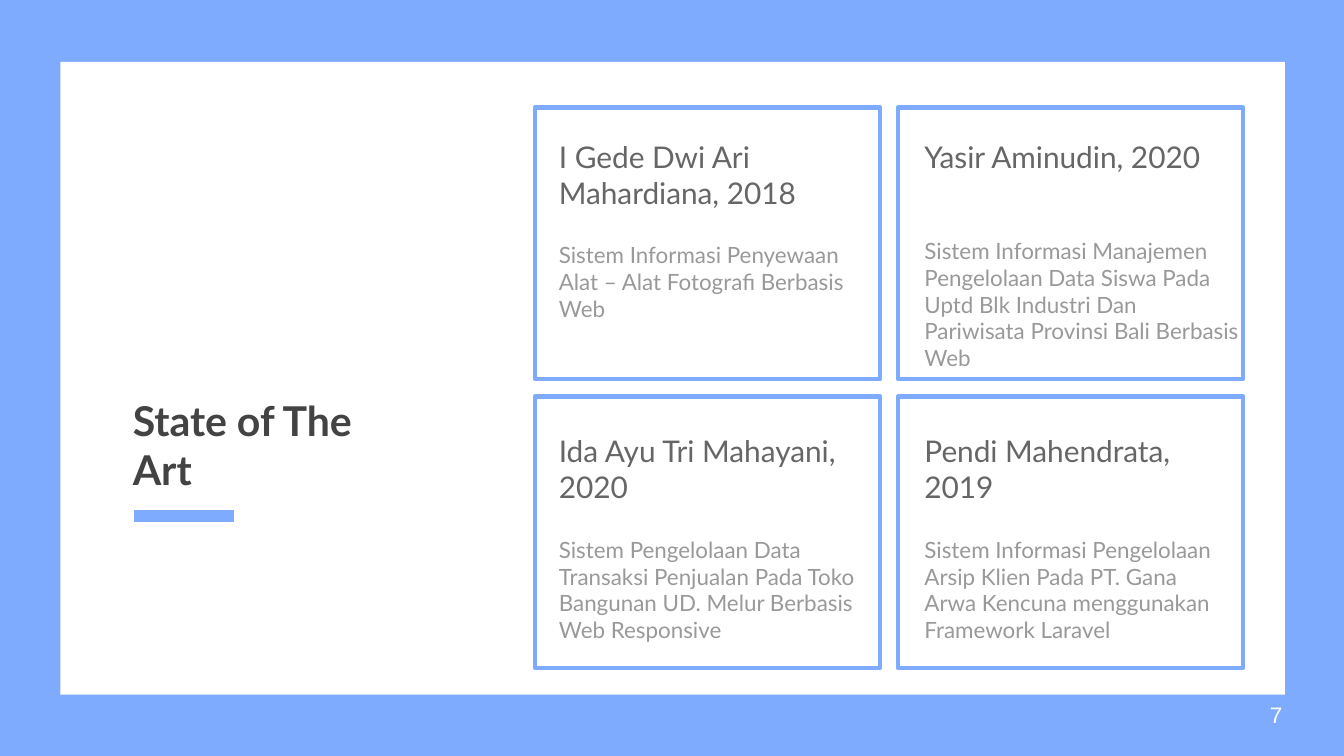
from lxml import etree
from pptx import Presentation
from pptx.dml.color import RGBColor
from pptx.enum import shapes, text
from pptx.oxml import ns
from pptx.util import Inches, Pt

BLUE = RGBColor(0x7F, 0xAB, 0xFF)
WHITE = RGBColor(0xFF, 0xFF, 0xFF)
CHARCOAL = RGBColor(0x43, 0x43, 0x43)
GREY = RGBColor(0x66, 0x66, 0x66)
LIGHT_GREY = RGBColor(0x99, 0x99, 0x99)


def write(paragraph, words, size, color, font="Lato", bold=False, before=0):
    paragraph.space_before = Pt(before)
    run = paragraph.add_run()
    run.text = words
    run.font.name = font
    run.font.size = Pt(size)
    run.font.bold = bold
    run.font.color.rgb = color


def add_frame(left, top, width, height, anchor=text.MSO_ANCHOR.TOP):
    box = slide.shapes.add_textbox(Inches(left), Inches(top), Inches(width), Inches(height))
    frame = box.text_frame
    frame.word_wrap = True
    frame.vertical_anchor = anchor
    frame.margin_left = frame.margin_right = Inches(0.1)
    frame.margin_top = frame.margin_bottom = Inches(0.1)
    return frame


deck = Presentation()
deck.slide_width = Inches(10)
deck.slide_height = Inches(10 * 9 / 16)
slide = deck.slides.add_slide(deck.slide_layouts[6])
slide.background.fill.solid()
slide.background.fill.fore_color.rgb = BLUE

panel = slide.shapes.add_shape(
    shapes.MSO_SHAPE.RECTANGLE, Inches(0.45), Inches(0.46), Inches(9.11), Inches(4.71))
panel.shadow.inherit = False
panel.fill.solid()
panel.fill.fore_color.rgb = WHITE
panel.line.fill.background()

underline = slide.shapes.add_connector(
    shapes.MSO_CONNECTOR.STRAIGHT, Inches(1), Inches(3.84), Inches(1.74), Inches(3.84))
underline.line.color.rgb = BLUE
underline.line.width = Pt(6)
etree.SubElement(underline.element.spPr, ns.qn("a:effectLst"))

title = add_frame(0.89, 2.66, 2.07, 1.3, text.MSO_ANCHOR.MIDDLE)
write(title.paragraphs[0], "State of The Art", 22, CHARCOAL, bold=True)

studies = [
    ("I Gede Dwi Ari Mahardiana, 2018",
     "Sistem Informasi Penyewaan Alat – Alat Fotografi Berbasis Web", 2.48, 16.8),
    ("Yasir Aminudin, 2020",
     "Sistem Informasi Manajemen Pengelolaan Data Siswa Pada Uptd Blk Industri Dan "
     "Pariwisata Provinsi Bali Berbasis Web", 2.55, 33.6),
    ("Ida Ayu Tri Mahayani, 2020",
     "Sistem Pengelolaan Data Transaksi Penjualan Pada Toko Bangunan UD. Melur Berbasis "
     "Web Responsive", 2.48, 16.8),
    ("Pendi Mahendrata, 2019",
     "Sistem Informasi Pengelolaan Arsip Klien Pada PT. Gana Arwa Kencuna menggunakan "
     "Framework Laravel", 2.48, 16.8),
]
for index, (author, topic, width, gap) in enumerate(studies):
    row, column = divmod(index, 2)
    card = slide.shapes.add_shape(
        shapes.MSO_SHAPE.RECTANGLE, Inches(3.98 + 2.7 * column), Inches(0.8 + 2.15 * row),
        Inches(2.57), Inches(2.02))
    card.shadow.inherit = False
    card.fill.background()
    card.line.color.rgb = BLUE
    card.line.width = Pt(2.25)
    study = add_frame(4.06 + 2.72 * column, 0.93 + 2.19 * row, width, 1.58)
    write(study.paragraphs[0], author, 16, GREY)
    write(study.add_paragraph(), topic, 12, LIGHT_GREY, before=gap)

page_number = add_frame(9.35, 5.1, 0.6, 0.43, text.MSO_ANCHOR.MIDDLE)
write(page_number.paragraphs[0], "7", 12, WHITE, font="Arial")

deck.save("out.pptx")
